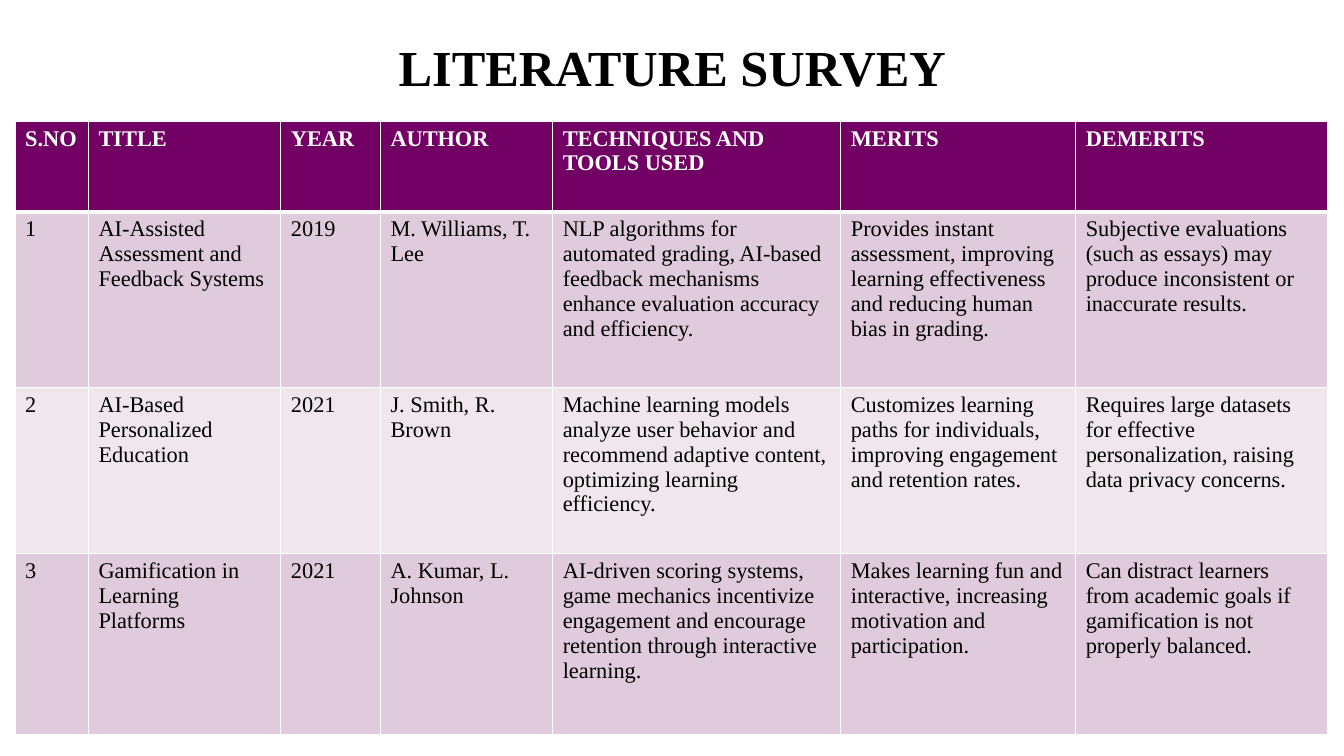
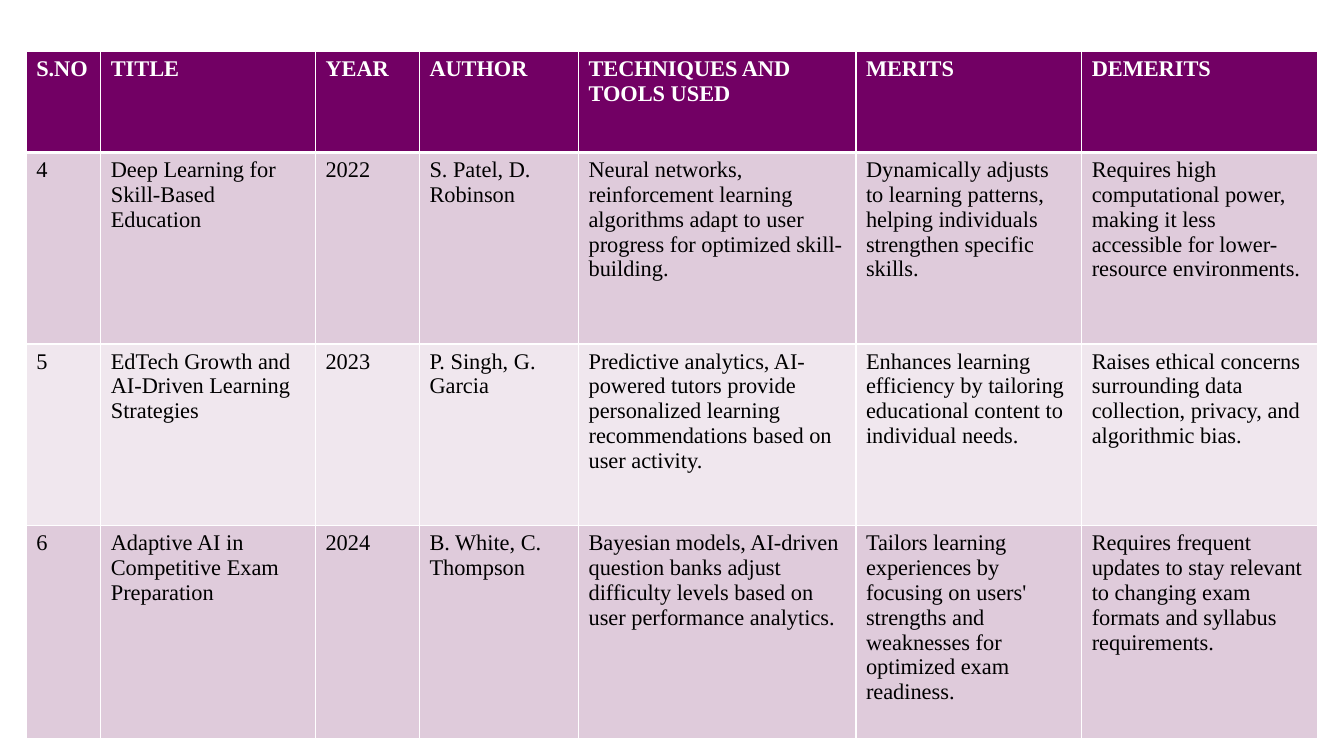
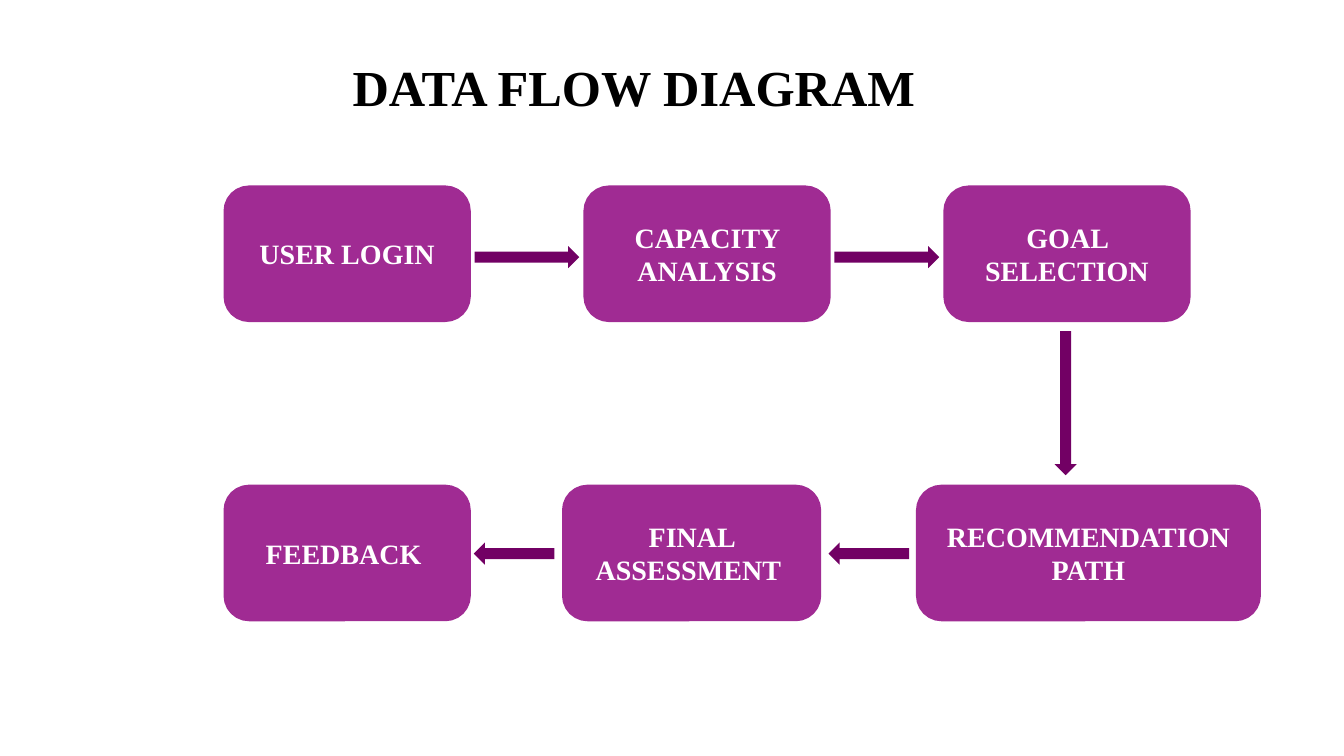
from lxml import etree
from pptx import Presentation
from pptx.dml.color import RGBColor
from pptx.enum.shapes import MSO_SHAPE
from pptx.enum.text import MSO_ANCHOR, MSO_AUTO_SIZE, PP_ALIGN
from pptx.oxml.ns import qn
from pptx.util import Cm, Pt

FONT = "Times New Roman"
PLUM = RGBColor(0x72, 0x00, 0x64)
VIOLET = RGBColor(0xA0, 0x2B, 0x93)
BAND = RGBColor(0xDF, 0xCB, 0xDB)
PALE = RGBColor(0xF0, 0xE7, 0xEE)
WHITE = RGBColor(0xFF, 0xFF, 0xFF)
BLACK = RGBColor(0x00, 0x00, 0x00)

ROUND, ARROW = MSO_SHAPE.ROUNDED_RECTANGLE, MSO_SHAPE.RIGHT_ARROW
TOP, MIDDLE, BOTTOM = MSO_ANCHOR.TOP, MSO_ANCHOR.MIDDLE, MSO_ANCHOR.BOTTOM
CENTER, NO_FIT = PP_ALIGN.CENTER, MSO_AUTO_SIZE.NONE
TITLE_ONLY, BLANK = 5, 6

HEAD = ("S.NO", "TITLE", "YEAR", "AUTHOR", "TECHNIQUES AND TOOLS USED",
        "MERITS", "DEMERITS")

# Lengths are in centimetres.
SURVEYS = [
    {
        "title": "LITERATURE SURVEY",
        "at": (0.38, 3.05),
        "cols": (1.85, 4.85, 2.51, 4.34, 7.26, 5.92, 6.35),
        "rows": (2.29, 4.42, 4.19, 4.57),
        "papers": [
            ("1", "AI-Assisted Assessment and Feedback Systems", "2019",
             "M. Williams, T. Lee",
             "NLP algorithms for automated grading, AI-based feedback "
             "mechanisms enhance evaluation accuracy and efficiency.",
             "Provides instant assessment, improving learning effectiveness "
             "and reducing human bias in grading.",
             "Subjective evaluations (such as essays) may produce "
             "inconsistent or inaccurate results."),
            ("2", "AI-Based Personalized Education", "2021",
             "J. Smith, R. Brown",
             "Machine learning models analyze user behavior and recommend "
             "adaptive content, optimizing learning efficiency.",
             "Customizes learning paths for individuals, improving "
             "engagement and retention rates.",
             "Requires large datasets for effective personalization, "
             "raising data privacy concerns."),
            ("3", "Gamification in Learning Platforms", "2021",
             "A. Kumar, L. Johnson",
             "AI-driven scoring systems, game mechanics incentivize "
             "engagement and encourage retention through interactive "
             "learning.",
             "Makes learning fun and interactive, increasing motivation "
             "and participation.",
             "Can distract learners from academic goals if gamification is "
             "not properly balanced."),
        ],
    },
    {
        "title": None,
        "at": (0.66, 1.3),
        "cols": (1.88, 5.41, 2.62, 4.01, 6.99, 5.69, 5.94),
        "rows": (2.54, 4.83, 4.57, 5.38),
        "papers": [
            ("4", "Deep Learning for Skill-Based Education", "2022",
             "S. Patel, D. Robinson",
             "Neural networks, reinforcement learning algorithms adapt to "
             "user progress for optimized skill-building.",
             "Dynamically adjusts to learning patterns, helping individuals "
             "strengthen specific skills.",
             "Requires high computational power, making it less accessible "
             "for lower-resource environments."),
            ("5", "EdTech Growth and AI-Driven Learning Strategies", "2023",
             "P. Singh, G. Garcia",
             "Predictive analytics, AI-powered tutors provide personalized "
             "learning recommendations based on user activity.",
             "Enhances learning efficiency by tailoring educational content "
             "to individual needs.",
             "Raises ethical concerns surrounding data collection, privacy, "
             "and algorithmic bias."),
            ("6", "Adaptive AI in Competitive Exam Preparation", "2024",
             "B. White, C. Thompson",
             "Bayesian models, AI-driven question banks adjust difficulty "
             "levels based on user performance analytics.",
             "Tailors learning experiences by focusing on users' strengths "
             "and weaknesses for optimized exam readiness.",
             "Requires frequent updates to stay relevant to changing exam "
             "formats and syllabus requirements."),
        ],
    },
]

BOX_H = 3.23
# Each row of steps: top, then (text, left, width).
STEPS = [
    (4.78, [("USER LOGIN", 5.74, 6.02),
            ("CAPACITY ANALYSIS", 14.81, 6.02),
            ("GOAL SELECTION", 23.88, 6.02)]),
    (12.32, [("FEEDBACK ", 5.74, 6.02),
             ("FINAL ASSESSMENT ", 14.27, 6.32),
             ("RECOMMENDATION PATH", 23.19, 8.48)]),
]
ARROW_H = 0.56
# Left, top, length, turn in degrees.
ARROWS = [
    (11.96, 6.2, 2.64, 0),
    (21.03, 6.2, 2.64, 0),
    (25.04, 9.88, 3.63, 90),
    (20.88, 13.67, 2.03, 180),
    (11.94, 13.67, 2.03, 180),
]


def write(para, text, size, color, bold=True):
    run = para.add_run()
    run.text = text
    font = run.font
    font.name, font.size, font.bold = FONT, Pt(size), bold
    font.color.rgb = color


def set_title(slide, text, place, anchor, space):
    title = slide.shapes.title
    title.left, title.top, title.width, title.height = map(Cm, place)
    frame = title.text_frame
    frame.auto_size, frame.vertical_anchor = NO_FIT, anchor
    frame.word_wrap = True
    para = frame.paragraphs[0]
    para.alignment, para.line_spacing = CENTER, space
    write(para, text, 36, BLACK)


def set_edges(cell, top, bottom):
    """Draw white cell borders; top and bottom are widths in points."""
    props = cell._tc.get_or_add_tcPr()
    for side, width in zip("LRTB", (1, 1, top, bottom)):
        line = etree.SubElement(props, qn("a:ln" + side), w=str(Pt(width)))
        fill = etree.SubElement(line, qn("a:solidFill"))
        etree.SubElement(fill, qn("a:srgbClr"), val=str(WHITE))


def add_survey(slide, survey):
    cols, rows = survey["cols"], survey["rows"]
    place = (*survey["at"], sum(cols), sum(rows))
    table = slide.shapes.add_table(
        len(rows), len(cols), *map(Cm, place)).table
    table.horz_banding = False
    for col, width in zip(table.columns, cols):
        col.width = Cm(width)
    for i, texts in enumerate([HEAD] + survey["papers"]):
        table.rows[i].height = Cm(rows[i])
        is_head = i == 0
        fill = PLUM if is_head else BAND if i % 2 else PALE
        for cell, text in zip(table.rows[i].cells, texts):
            set_edges(cell, 3 if i == 1 else 1, 3 if is_head else 1)
            cell.fill.solid()
            cell.fill.fore_color.rgb = fill
            write(cell.text_frame.paragraphs[0], text, 16,
                  WHITE if is_head else BLACK, is_head)


def add_solid(slide, kind, place, color):
    shape = slide.shapes.add_shape(kind, *map(Cm, place))
    shape.shadow.inherit = False
    shape.fill.solid()
    shape.fill.fore_color.rgb = color
    shape.line.fill.background()
    return shape


def add_step(slide, text, place):
    box = add_solid(slide, ROUND, place, VIOLET)
    box.line.color.rgb, box.line.width = VIOLET, Pt(6)
    frame = box.text_frame
    frame.word_wrap, frame.vertical_anchor = True, MIDDLE
    frame.margin_top = frame.margin_bottom = Cm(0.25)
    para = frame.paragraphs[0]
    para.alignment = CENTER
    write(para, text, 20, WHITE)


def main():
    deck = Presentation()
    deck.slide_width, deck.slide_height = Cm(33.87), Cm(19.05)

    def new_slide(layout):
        return deck.slides.add_slide(deck.slide_layouts[layout])

    for survey in SURVEYS:
        title = survey["title"]
        slide = new_slide(TITLE_ONLY if title else BLANK)
        if title:
            set_title(slide, title, (2.06, 0.79, 29.77, 1.8), TOP, 1.0)
        add_survey(slide, survey)

    flow = new_slide(TITLE_ONLY)
    set_title(flow, "DATA FLOW DIAGRAM", (3.4, 0.58, 25.15, 2.51),
              BOTTOM, 0.9)
    for top, steps in STEPS:
        for text, left, width in steps:
            add_step(flow, text, (left, top, width, BOX_H))
    for left, top, length, turn in ARROWS:
        arrow = add_solid(flow, ARROW, (left, top, length, ARROW_H), PLUM)
        arrow.rotation = turn

    deck.save("out.pptx")


if __name__ == "__main__":
    main()
